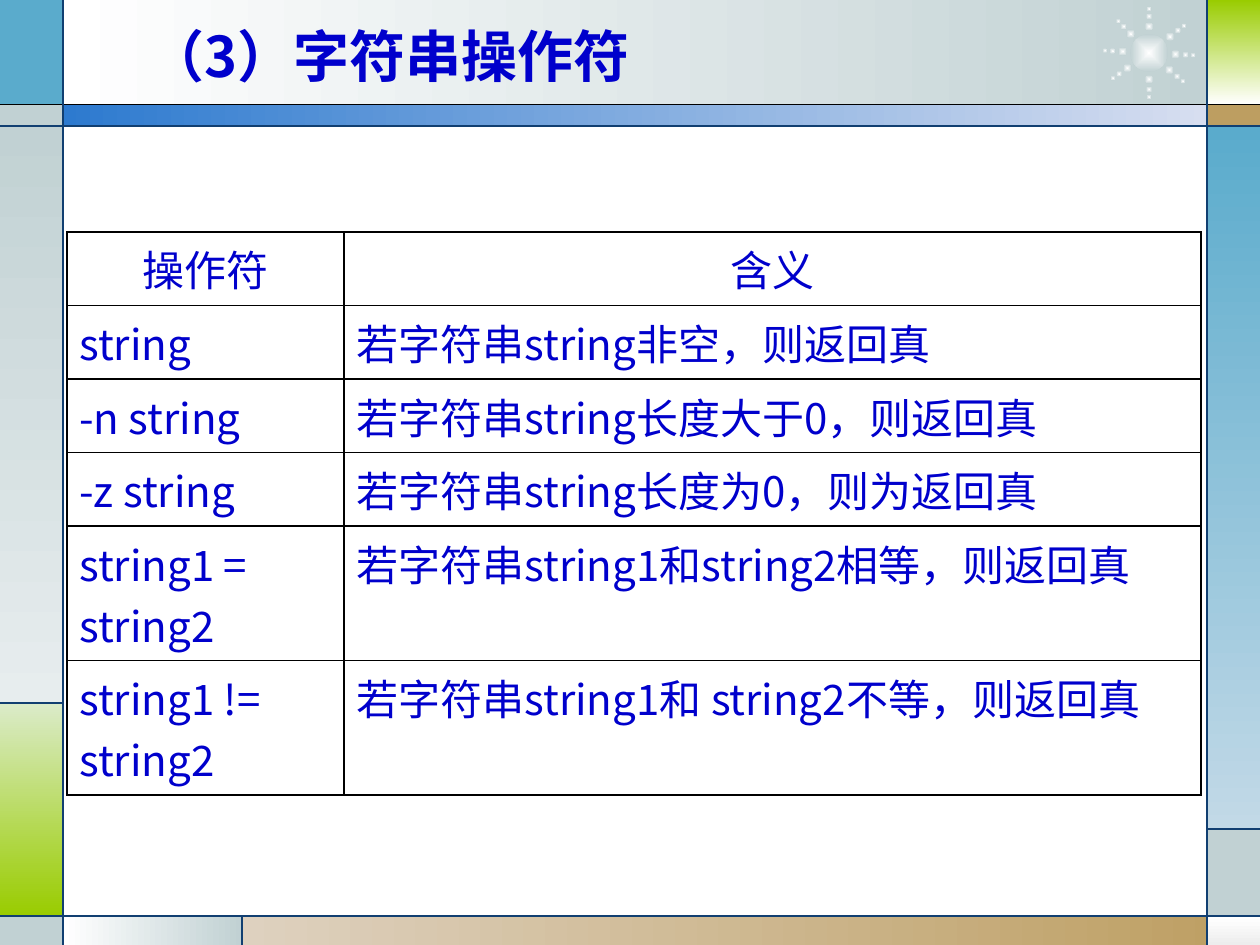
from dataclasses import dataclass
from math import cos, radians, sin

from lxml import etree
from pptx import Presentation
from pptx.dml.color import RGBColor
from pptx.enum.shapes import MSO_CONNECTOR, MSO_SHAPE
from pptx.enum.text import MSO_ANCHOR, MSO_AUTO_SIZE, PP_ALIGN
from pptx.oxml.ns import qn
from pptx.util import Inches, Pt

RECT, OVAL = MSO_SHAPE.RECTANGLE, MSO_SHAPE.OVAL
LINE = MSO_CONNECTOR.STRAIGHT
LEFT, MID = PP_ALIGN.LEFT, PP_ALIGN.CENTER
CENTER = MSO_ANCHOR.MIDDLE
FIXED = MSO_AUTO_SIZE.NONE
RIGHT, DOWN, RADIAL = 0, 270, None


@dataclass(frozen=True)
class Theme:
    """Colours, font and type sizes."""
    font: str = "Noto Sans CJK SC"
    head: int = 32
    text: int = 24
    rule: float = 0.75
    edge: float = 1
    ink: str = "0000CC"
    black: str = "000000"
    navy: str = "113F71"
    white: str = "FFFFFF"
    mist: str = "C1D1D3"
    pale: str = "E7EDEE"
    smoke: str = "EDEDED"
    sky: str = "5AABCC"
    ice: str = "C2D9E7"
    lime: str = "99CC00"
    mint: str = "DBEBC9"
    sand: str = "DED1BF"
    tan: str = "BD9E61"
    blue: str = "2D7ACF"
    haze: str = "D7DEF0"


T = Theme()
ROWS = [
    ("操作符", "含义"),
    ("string", "若字符串string非空，则返回真"),
    ("-n string", "若字符串string长度大于0，则返回真"),
    ("-z string", "若字符串string长度为0，则为返回真"),
    ("string1 = string2", "若字符串string1和string2相等，则返回真"),
    ("string1 != string2", "若字符串string1和 string2不等，则返回真"),
]


def tint(code):
    """Turn a hex code into a colour."""
    return RGBColor.from_string(code)


def paint(fill, tones, turn):
    """Fill with one tone, or blend two along a line or from the centre."""
    if len(tones) == 1:
        fill.solid()
        fill.fore_color.rgb = tint(tones[0])
        return
    fill.gradient()
    for stop, tone, spot in zip(fill.gradient_stops, tones, (0, 1)):
        stop.color.rgb = tint(tone)
        stop.position = spot
    if turn is not RADIAL:
        fill.gradient_angle = turn


def block(slide, kind, box, tones, turn=RIGHT):
    """Add a borderless filled shape."""
    shape = slide.shapes.add_shape(kind, *map(Inches, box))
    shape.shadow.inherit = False
    shape.line.fill.background()
    paint(shape.fill, tones, turn)
    return shape


def rule(slide, ends, tone):
    """Draw a thin straight line."""
    line = slide.shapes.add_connector(LINE, *map(Inches, ends))
    line.line.color.rgb = tint(tone)
    line.line.width = Pt(T.rule)
    etree.SubElement(line._element.spPr, qn("a:effectLst"))


def write(frame, text, align, **extra):
    """Write one styled paragraph."""
    para = frame.paragraphs[0]
    para.alignment = align
    run = para.add_run()
    run.text = text
    style = {"name": T.font, "size": Pt(T.text), "bold": False, **extra}
    for key, value in style.items():
        setattr(run.font, key, value)
    run.font.color.rgb = tint(T.ink)
    etree.SubElement(run._r.rPr, qn("a:ea"), typeface=T.font)


def border(cell):
    """Outline the four sides of a cell."""
    props = cell._tc.get_or_add_tcPr()
    for spot, side in enumerate(("lnL", "lnR", "lnT", "lnB")):
        line = etree.Element(qn(f"a:{side}"), w=str(Pt(T.edge)))
        fill = etree.SubElement(line, qn("a:solidFill"))
        etree.SubElement(fill, qn("a:srgbClr"), val=T.black)
        props.insert(spot, line)


def frame(slide, box):
    """Place the coloured tiles and rules round the page."""
    x, y, wide, high = box
    west, east = x + 0.5, x + wide - 0.42
    top, bar, foot = y + 0.83, y + 1, y + 7.27
    end, low = x + wide, y + high
    mark, left, right = x + 1.92, y + 5.58, y + 6.58
    tiles = [
        (west, y, east, top, (T.white, T.mist), RIGHT),
        (x, y, west, top, (T.sky,), RIGHT),
        (x, top, west, bar, (T.mist,), RIGHT),
        (x, bar, west, left, (T.mist, T.pale), DOWN),
        (x, left, west, foot, (T.mint, T.lime), DOWN),
        (x, foot, west, low, (T.mist,), RIGHT),
        (west, foot, mark, low, (T.white, T.mist), RIGHT),
        (mark, foot, end, low, (T.sand, T.tan), RIGHT),
        (east, foot, end, low, (T.white, T.smoke), DOWN),
        (east, right, end, foot, (T.mist,), RIGHT),
        (east, bar, end, right, (T.sky, T.ice), DOWN),
        (east, top, end, bar, (T.tan,), RIGHT),
        (east, y, end, top, (T.lime, T.white), DOWN),
        (west, top, east, bar, (T.blue, T.haze), RIGHT),
    ]
    for x1, y1, x2, y2, tones, turn in tiles:
        block(slide, RECT, (x1, y1, x2 - x1, y2 - y1), tones, turn)
    burst(slide, (8.75, 0.05, 0.74, 0.74))
    rule(slide, (x, top, end, top), T.black)
    for ends in [
        (x, bar, end, bar), (x, foot, end, foot),
        (west, y, west, low), (east, y, east, low),
        (west, left, x, left), (mark, foot, mark, low),
        (east, right, end, right),
    ]:
        rule(slide, ends, T.navy)


def burst(slide, box):
    """Place a glowing core with eight arms of three dots."""
    x, y, wide, high = box
    mid, deep = x + wide / 2, y + high / 2
    dots = [(mid, deep, 0.3)]
    for angle in (-134, -90, -38, 3, 40, 90, 145, 183):
        for reach, size in ((0.21, 0.07), (0.29, 0.05), (0.35, 0.04)):
            turn = radians(angle)
            dots.append((mid + reach * cos(turn), deep + reach * sin(turn), size))
    for across, down, size in dots:
        spot = (across - size / 2, down - size / 2, size, size)
        dot = block(slide, OVAL, spot, (T.white, T.mist), RADIAL)
        grad = dot._element.spPr.find(qn("a:gradFill"))
        grad.remove(grad.find(qn("a:lin")))
        glow = etree.SubElement(grad, qn("a:path"), {"path": "shape"})
        sides = dict.fromkeys("ltrb", "50000")
        etree.SubElement(glow, qn("a:fillToRect"), sides)


def heading(slide, box):
    """Place the title in front of the tiles."""
    title = slide.shapes.title
    slide.shapes._spTree.append(title._element)
    sides = ("left", "top", "width", "height")
    for side, size in zip(sides, box):
        setattr(title, side, Inches(size))
    text = title.text_frame
    text.auto_size = FIXED
    text.vertical_anchor = CENTER
    write(text, "（3）字符串操作符", LEFT, size=Pt(T.head), bold=True)


def grid(slide, box):
    """Place the table of operators."""
    table = slide.shapes.add_table(len(ROWS), 2, *map(Inches, box)).table
    table.first_row = table.horz_banding = False
    for col, wide in zip(table.columns, (2.2, 6.8)):
        col.width = Inches(wide)
    for spot, (row, words) in enumerate(zip(table.rows, ROWS)):
        row.height = Inches(0.5 if spot < 4 else 0.9)
        for cell, text in zip(row.cells, words):
            cell.fill.background()
            border(cell)
            write(cell.text_frame, text, LEFT if spot else MID)


def main():
    """Build and save the slide."""
    deck = Presentation()
    deck.slide_width, deck.slide_height = Inches(10), Inches(7.5)
    slide = deck.slides.add_slide(deck.slide_layouts[5])
    frame(slide, (0, 0, 10, 7.5))
    heading(slide, (1.08, 0.13, 7.33, 0.62))
    grid(slide, (0.53, 1.84, 9, 3.8))
    deck.save("out.pptx")


if __name__ == "__main__":
    main()
